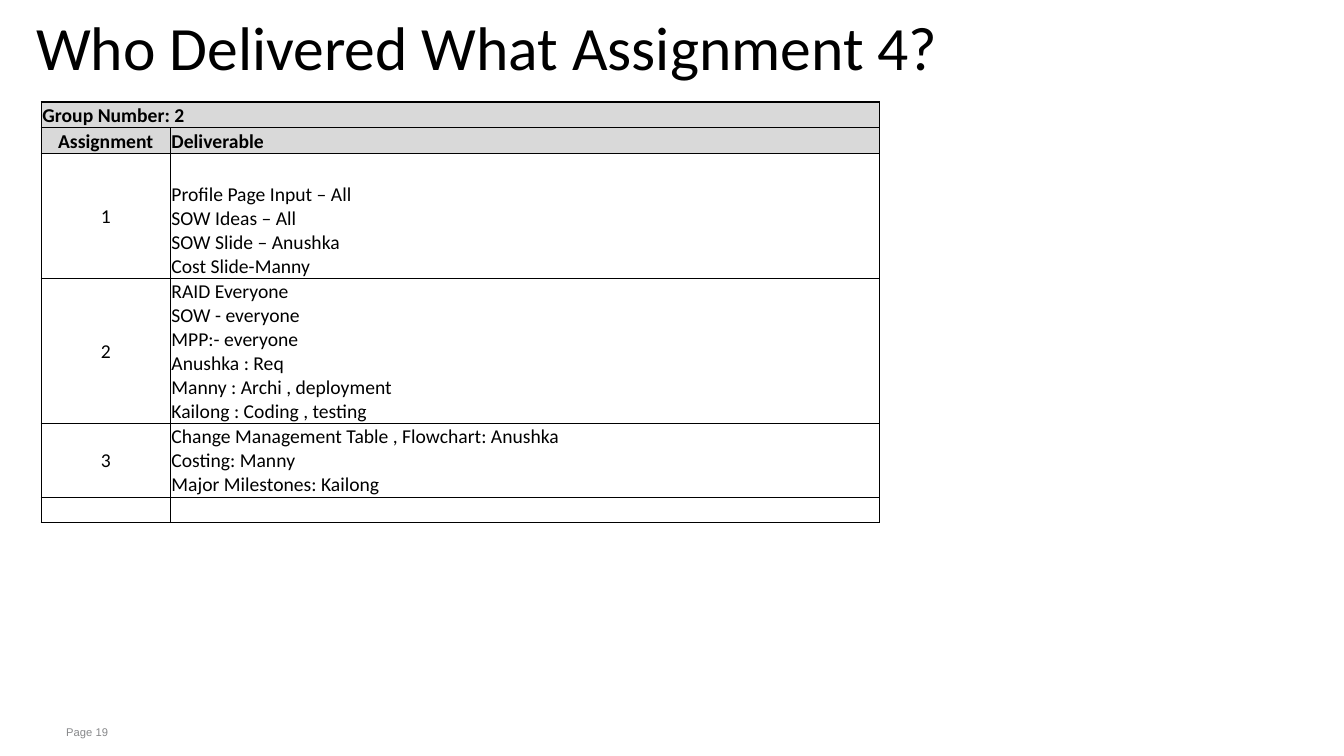
"""Builds the slide listing who delivered what for assignment 4."""
import lxml.etree
import pptx
import pptx.dml.color
import pptx.enum.text
import pptx.oxml.ns
import pptx.util

Cm = pptx.util.Cm
Pt = pptx.util.Pt
qn = pptx.oxml.ns.qn
ANCHOR = pptx.enum.text.MSO_ANCHOR
ALIGN = pptx.enum.text.PP_ALIGN


def add_run(paragraph, text, size, color="000000", font="Calibri", bold=False):
    run = paragraph.add_run()
    run.text = text
    run.font.size = Pt(size)
    run.font.name = font
    run.font.bold = bold
    run.font.color.rgb = pptx.dml.color.RGBColor.from_string(color)


def set_borders(cell, widths):
    properties = cell._tc.get_or_add_tcPr()
    for position, (side, width) in enumerate(widths.items()):
        line = lxml.etree.Element(qn(f"a:ln{side}"), w=str(Pt(width)))
        fill = lxml.etree.SubElement(line, qn("a:solidFill"))
        lxml.etree.SubElement(fill, qn("a:srgbClr"), val="000000")
        properties.insert(position, line)


deck = pptx.Presentation()
deck.slide_width = Cm(33.87)
deck.slide_height = Cm(19.05)
slide = deck.slides.add_slide(deck.slide_layouts[5])

page = slide.shapes.add_textbox(Cm(1.47), Cm(18.14), Cm(27.4), Cm(0.6)).text_frame
page.word_wrap = True
page.margin_left = page.margin_right = Cm(0.2)
page.margin_top = page.margin_bottom = Cm(0.13)
add_run(page.paragraphs[0], "Page 19", 8, "87888A", "Arial")

column_widths = [3.25, 17.86]
row_heights = [0.65, 0.65, 3.15, 3.65, 1.85, 0.65]
rows = [
    (["Group Number: 2"], []),
    (["Assignment"], ["Deliverable"]),
    (["1"], ["Profile Page Input – All", "SOW Ideas – All", "SOW Slide – Anushka", "Cost Slide-Manny"]),
    (["2"], ["RAID Everyone", "SOW - everyone", "MPP:- everyone", "Anushka : Req",
             "Manny : Archi , deployment", "Kailong : Coding , testing"]),
    (["3"], ["Change Management Table , Flowchart: Anushka", "Costing: Manny", "Major Milestones: Kailong"]),
    ([], []),
]
deliverables = slide.shapes.add_table(
    len(rows), len(column_widths), Cm(1.04), Cm(2.57), Cm(sum(column_widths)), Cm(sum(row_heights))
).table
deliverables.first_row = False
deliverables.horz_banding = False
for column, width in zip(deliverables.columns, column_widths):
    column.width = Cm(width)

for row_index, row in enumerate(rows):
    deliverables.rows[row_index].height = Cm(row_heights[row_index])
    heading = row_index < 2
    for column_index, lines in enumerate(row):
        cell = deliverables.cell(row_index, column_index)
        cell.margin_left = cell.margin_right = cell.margin_top = Cm(0.03)
        cell.margin_bottom = 0
        numbered = column_index == 0 and not heading
        cell.vertical_anchor = ANCHOR.MIDDLE if numbered else ANCHOR.BOTTOM
        if heading:
            cell.fill.solid()
            cell.fill.fore_color.rgb = pptx.dml.color.RGBColor.from_string("D9D9D9")
        else:
            cell.fill.background()
        set_borders(cell, {
            "L": 1 if column_index == 0 else 0.5,
            "R": 0.5,
            "T": 1 if row_index in (0, 2) else 0.5,
            "B": 1 if row_index == 1 else 0.5,
        })
        frame = cell.text_frame
        for line_index, text in enumerate(lines):
            paragraph = frame.add_paragraph() if line_index else frame.paragraphs[0]
            centred = column_index == 0 and row_index > 0
            paragraph.alignment = ALIGN.CENTER if centred else ALIGN.LEFT
            add_run(paragraph, text, 14, bold=heading)
        if not lines:
            lxml.etree.SubElement(frame.paragraphs[0]._p, qn("a:endParaRPr"), sz="1400")
deliverables.cell(0, 0).merge(deliverables.cell(0, 1))

title = slide.shapes.title
title.left, title.top, title.width, title.height = Cm(0.71), Cm(0.66), Cm(24.31), Cm(1.4)
heading_text = title.text_frame
heading_text.auto_size = pptx.enum.text.MSO_AUTO_SIZE.NONE
heading_text.word_wrap = True
heading_text.vertical_anchor = ANCHOR.MIDDLE
heading_text.margin_left = heading_text.margin_right = Cm(0.2)
heading_text.margin_top = heading_text.margin_bottom = 0
heading_text.paragraphs[0].alignment = ALIGN.LEFT
heading_text.paragraphs[0].line_spacing = 0.75
add_run(heading_text.paragraphs[0], "Who Delivered What Assignment 4?", 44)

deck.save("out.pptx")
